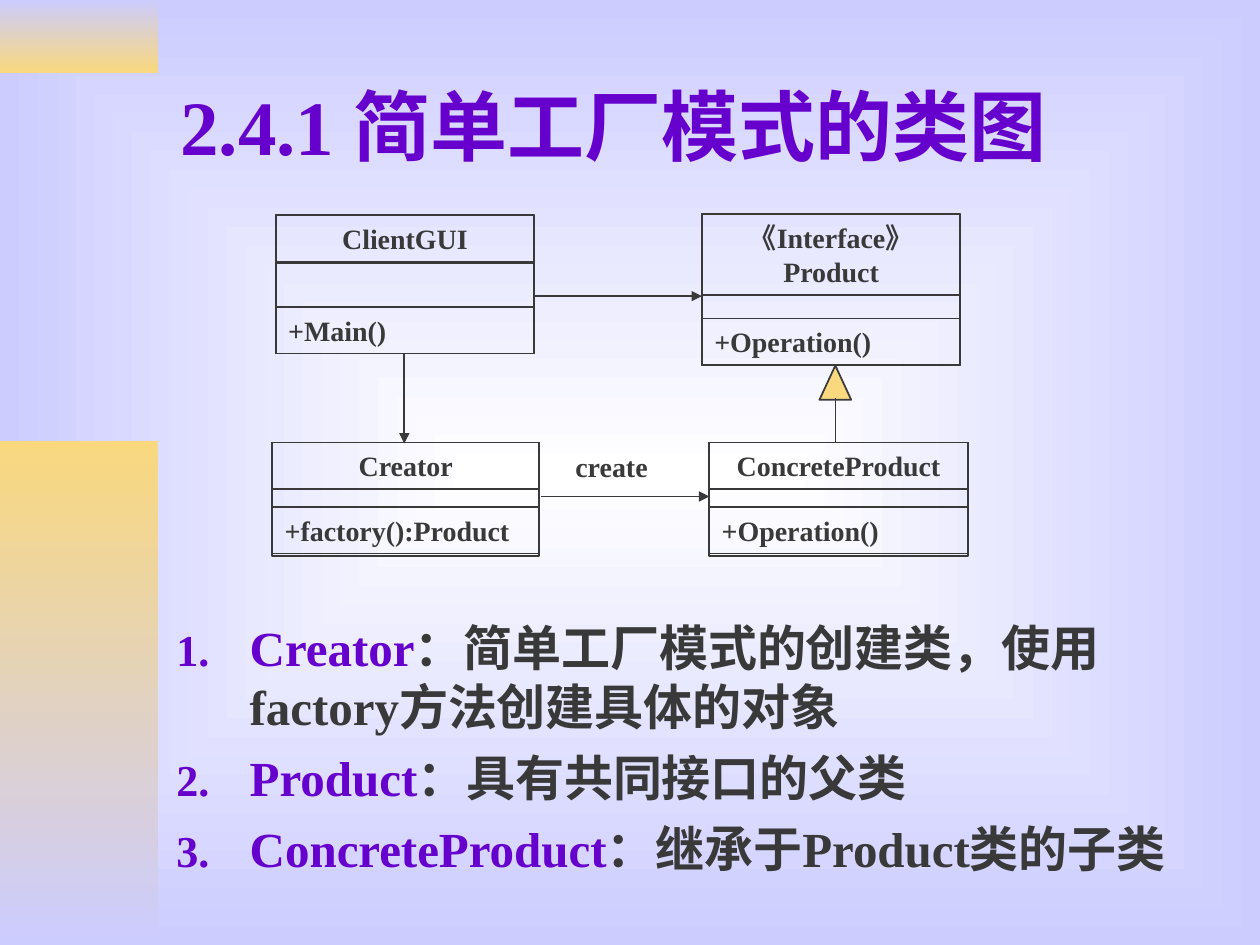
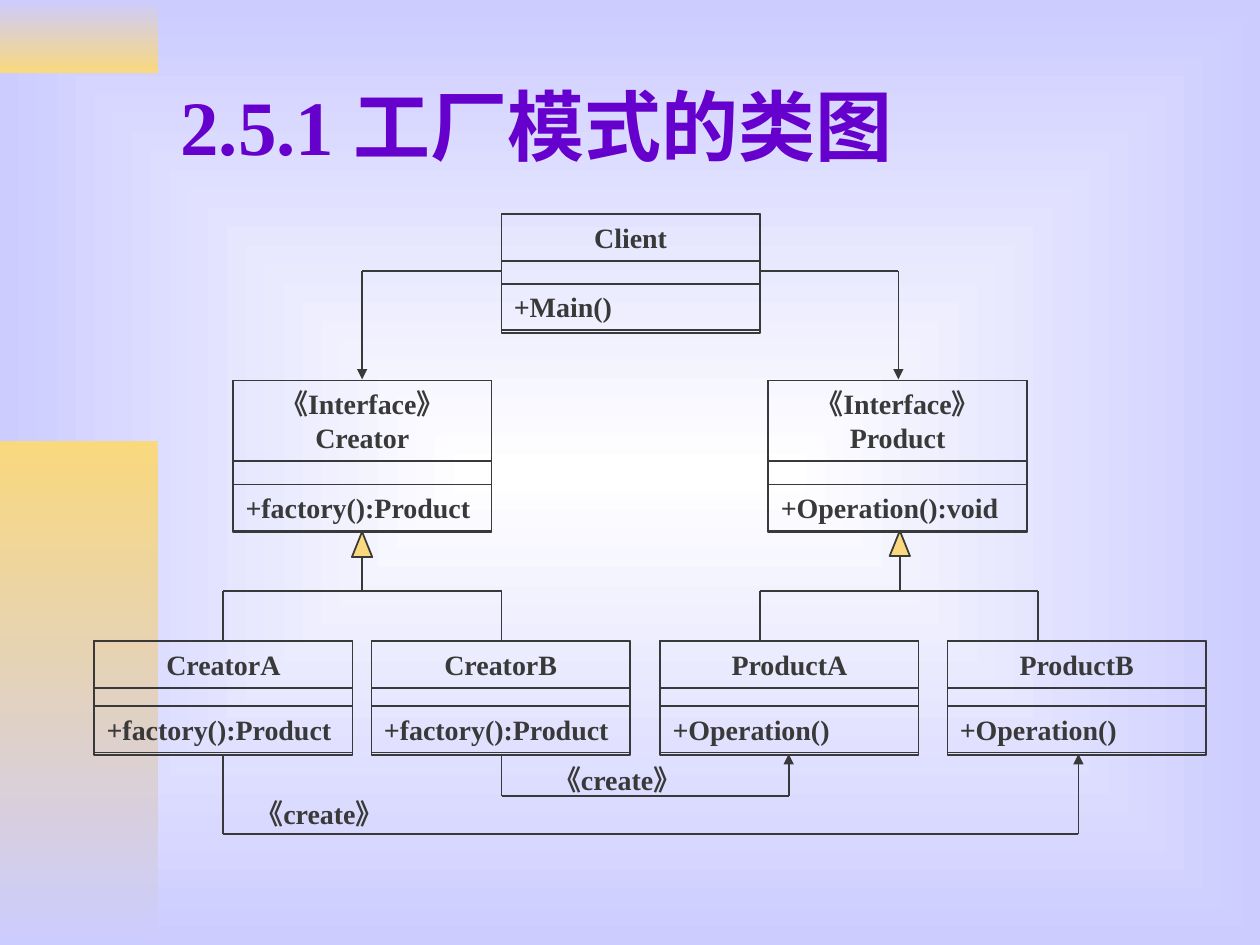
from lxml.etree import SubElement
from pptx import Presentation
from pptx.dml.color import RGBColor
from pptx.enum.shapes import MSO_CONNECTOR, MSO_SHAPE
from pptx.enum.text import MSO_ANCHOR, MSO_AUTO_SIZE, PP_ALIGN
from pptx.oxml.ns import qn
from pptx.util import Cm, Pt

FONT = "Times New Roman"
PURPLE = "6600CC"
INK = "393939"
GOLD = "F9D87E"
LAVENDER = "CCCCFF"
WHITE = "FFFFFF"
CLASS_WIDTH = 5.21
ROW_HEIGHT = 0.94
INTERFACE_HEIGHT = 1.63
CHILD_TOP = 12.93
BRANCH_Y = 11.92


def paint(color_format, value):
    color_format.rgb = RGBColor.from_string(value)


def write(para, text, size=16, color=INK, align=PP_ALIGN.LEFT):
    para.alignment = align
    span = para.add_run()
    span.text = text
    span.font.name = FONT
    span.font.size = Pt(size)
    span.font.bold = True
    paint(span.font.color, color)


# name, left, top, width, height, attribute height, operation offset, operation
simple_factory = {
    "title": "2.4.1 简单工厂模式的类图",
    "points": [
        ("Creator", "：简单工厂模式的创建类，使用factory方法创建具体的对象"),
        ("Product", "：具有共同接口的父类"),
        ("ConcreteProduct", "：继承于Product类的子类"),
    ],
    "classes": [
        ("ClientGUI", 5.56, 4.34, CLASS_WIDTH, 2.79, 0.89, 1.85, "+Main()"),
        ("《Interface》Product", 14.15, 4.32, CLASS_WIDTH, 3.05, 0, 2.1, "+Operation()"),
        ("Creator", 5.49, 8.92, 5.38, 2.29, 0, 1.3, "+factory():Product"),
        ("ConcreteProduct", 14.3, 8.92, CLASS_WIDTH, 2.29, 0, 1.3, "+Operation()"),
    ],
    "triangles": [(16.84, 7.37, 0.64, 0.69)],
    "routes": [
        ([(10.77, 5.97), (14.15, 5.97)], True),
        ([(16.84, 8.03), (16.84, 8.94)], False),
        ([(8.15, 7.14), (8.15, 8.94)], True),
        ([(10.9, 10.01), (14.3, 10.01)], True),
    ],
    "labels": [("create", 11.35, 8.94, 2.59)],
}

children = [
    ("CreatorA", 1.9, "+factory():Product"),
    ("CreatorB", 7.49, "+factory():Product"),
    ("ProductA", 13.31, "+Operation()"),
    ("ProductB", 19.1, "+Operation()"),
]
factory = {
    "title": "2.5.1 工厂模式的类图",
    "points": [],
    "classes": [
        ("Client", 10.11, 4.32, CLASS_WIDTH, 2.39, 0, 1.4, "+Main()"),
        ("《Interface》Creator", 4.7, 7.67, CLASS_WIDTH, 3.05, 0, 2.1, "+factory():Product"),
        ("《Interface》Product", 15.49, 7.67, CLASS_WIDTH, 3.05, 0, 2.1, "+Operation():void"),
    ] + [
        (name, left, CHILD_TOP, CLASS_WIDTH, 2.29, 0, 1.3, operation)
        for name, left, operation in children
    ],
    "triangles": [(7.3, 10.72, 0.41, 0.51), (18.14, 10.7, 0.41, 0.51)],
    "routes": [
        ([(10.11, 5.46), (7.3, 5.46), (7.3, 7.65)], True),
        ([(15.32, 5.46), (18.11, 5.46), (18.11, 7.65)], True),
        ([(10.11, 15.2), (10.11, 16.05), (15.9, 16.05), (15.9, 15.2)], True),
        ([(4.5, 15.2), (4.5, 16.81), (21.74, 16.81), (21.74, 15.2)], True),
    ],
    "labels": [("《create》", 10.9, 15.24, 4.14), ("《create》", 4.9, 15.93, 4.14)],
}
for parent_x, first_x, last_x in [(7.3, 4.5, 10.11), (18.14, 15.32, 20.93)]:
    factory["routes"] += [
        ([(parent_x, 11.22), (parent_x, BRANCH_Y)], False),
        ([(first_x, CHILD_TOP), (first_x, BRANCH_Y), (last_x, BRANCH_Y), (last_x, CHILD_TOP)], False),
    ]

deck = Presentation()
deck.slide_width = Cm(25.4)
deck.slide_height = Cm(19.05)

master = deck.slide_master
backdrop = master.background.fill
backdrop.gradient()
for stop, value in zip(backdrop.gradient_stops, (WHITE, LAVENDER)):
    paint(stop.color, value)
linear = next(master.element.cSld.iter(qn("a:lin")))
gradient = linear.getparent()
gradient.remove(linear)
centre = SubElement(gradient, qn("a:path"), {"path": "rect"})
SubElement(centre, qn("a:fillToRect"), {side: "50000" for side in "ltrb"})

for page_number, content in enumerate([simple_factory, factory]):
    page = deck.slides.add_slide(deck.slide_layouts[1 if content["points"] else 5])

    if page_number == 0:
        bands = [(0, 1.47, (LAVENDER, GOLD)), (8.89, 10.16, (GOLD, LAVENDER))]
        for index, (top, height, values) in enumerate(bands):
            band = page.shapes.add_shape(MSO_SHAPE.RECTANGLE, 0, Cm(top), Cm(3.18), Cm(height))
            band.shadow.inherit = False
            band.line.fill.background()
            band.fill.gradient()
            band.fill.gradient_angle = 270
            for stop, value in zip(band.fill.gradient_stops, values):
                paint(stop.color, value)
            band.element.nvSpPr.cNvPr.set("id", str(20 + index))
            master.shapes.element.insert(2 + index, band.element)

    title = page.shapes.title
    title.left, title.top, title.width, title.height = Cm(3.38), Cm(0.84), Cm(21.59), Cm(3.35)
    title.text_frame.vertical_anchor = MSO_ANCHOR.MIDDLE
    title.text_frame.auto_size = MSO_AUTO_SIZE.NONE
    write(title.text_frame.paragraphs[0], content["title"], size=44, color=PURPLE)

    if content["points"]:
        body = page.placeholders[1]
        body.left, body.top, body.width, body.height = Cm(3.3), Cm(12.32), Cm(21.59), Cm(5.69)
        body.text_frame.auto_size = MSO_AUTO_SIZE.NONE
        for index, (term, meaning) in enumerate(content["points"]):
            para = body.text_frame.add_paragraph() if index else body.text_frame.paragraphs[0]
            para.space_before = Pt(7 if index else 0)
            layout = para._p.get_or_add_pPr()
            layout.set("marL", str(Cm(1.48)))
            layout.set("indent", str(-Cm(1.48)))
            SubElement(SubElement(layout, qn("a:buClr")), qn("a:srgbClr"), val=PURPLE)
            SubElement(layout, qn("a:buSzPct"), val="90000")
            SubElement(layout, qn("a:buFont"), typeface=FONT)
            SubElement(layout, qn("a:buAutoNum"), type="arabicPeriod")
            write(para, term, size=28, color=PURPLE)
            write(para, meaning, size=28)

    for name, left, top, width, height, attribute_height, offset, operation in content["classes"]:
        name_height = INTERFACE_HEIGHT if name.startswith("《") else ROW_HEIGHT
        parts = [
            (0, height, "", PP_ALIGN.LEFT),
            (0, name_height, name, PP_ALIGN.CENTER),
            (offset, ROW_HEIGHT, operation, PP_ALIGN.LEFT),
        ]
        if attribute_height:
            parts.append((offset - attribute_height, attribute_height, "", PP_ALIGN.LEFT))
        for part_offset, part_height, text, align in parts:
            box = page.shapes.add_shape(
                MSO_SHAPE.RECTANGLE, Cm(left), Cm(top + part_offset), Cm(width), Cm(part_height))
            box.shadow.inherit = False
            box.fill.background()
            box.line.width = Pt(1)
            paint(box.line.color, INK)
            if text:
                box.text_frame.word_wrap = True
                box.text_frame.vertical_anchor = MSO_ANCHOR.TOP
                write(box.text_frame.paragraphs[0], text, align=align)

    for center, top, width, height in content["triangles"]:
        triangle = page.shapes.add_shape(
            MSO_SHAPE.FLOWCHART_EXTRACT, Cm(center - width / 2), Cm(top), Cm(width), Cm(height))
        triangle.shadow.inherit = False
        triangle.fill.solid()
        paint(triangle.fill.fore_color, GOLD)
        triangle.line.width = Pt(1)
        paint(triangle.line.color, INK)

    for points, has_arrow in content["routes"]:
        for start, end in zip(points, points[1:]):
            connector = page.shapes.add_connector(
                MSO_CONNECTOR.STRAIGHT, Cm(start[0]), Cm(start[1]), Cm(end[0]), Cm(end[1]))
            connector.line.width = Pt(1)
            paint(connector.line.color, INK)
            properties = connector.element.spPr
            SubElement(properties, qn("a:effectLst"))
            if has_arrow and end == points[-1]:
                SubElement(properties.find(qn("a:ln")), qn("a:tailEnd"), type="triangle")

    for text, left, top, width in content["labels"]:
        label = page.shapes.add_textbox(Cm(left), Cm(top), Cm(width), Cm(ROW_HEIGHT))
        label.text_frame.word_wrap = True
        write(label.text_frame.paragraphs[0], text)

deck.save("out.pptx")
